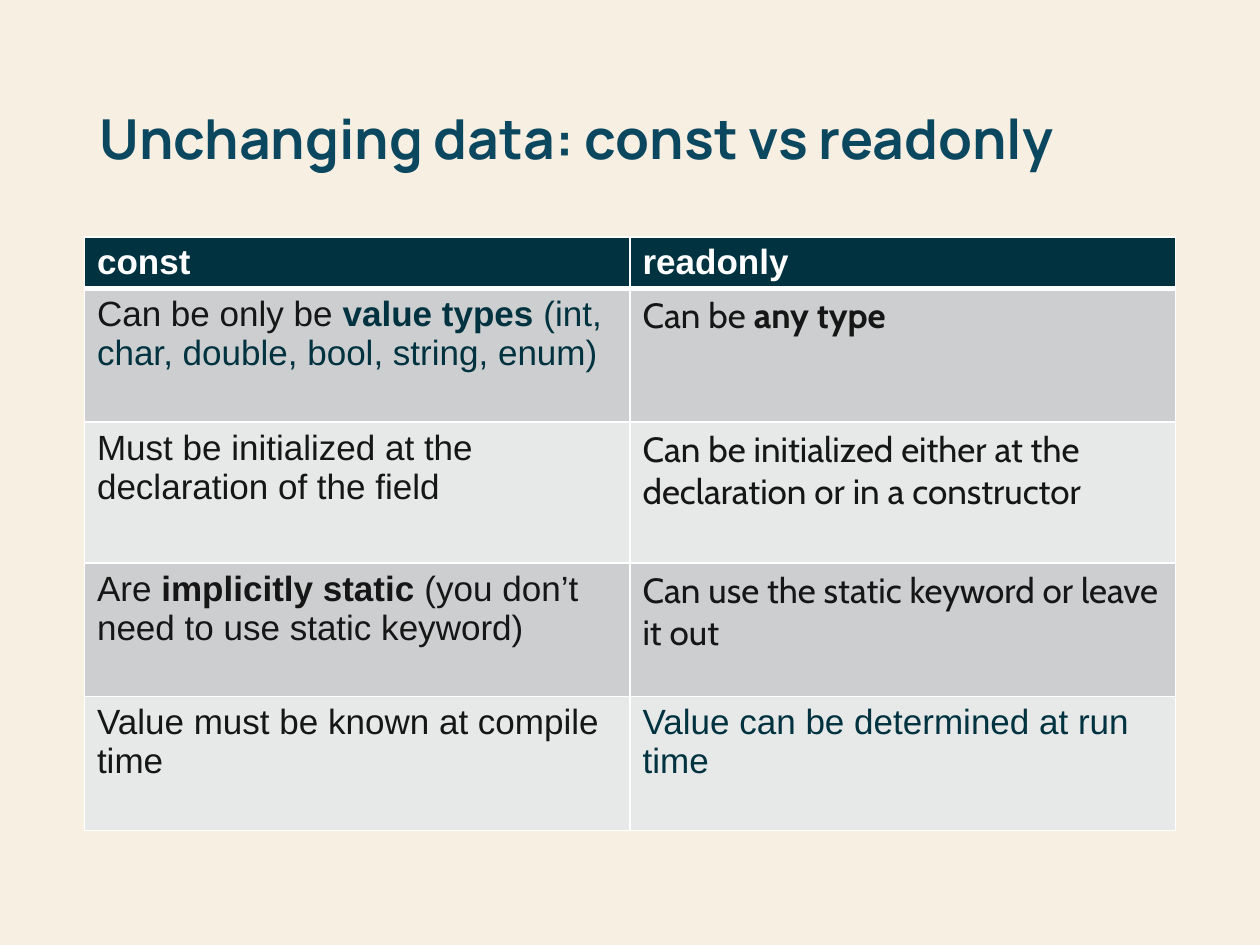
from dataclasses import dataclass

from lxml.etree import SubElement
from pptx import Presentation
from pptx.dml.color import RGBColor
from pptx.enum.text import MSO_ANCHOR as Anchor, MSO_AUTO_SIZE as AutoSize, PP_ALIGN as Align
from pptx.oxml.ns import qn
from pptx.util import Inches, Pt

CREAM, TEAL, NAVY = "F8EFE3", "0B485F", "003240"
INK, WHITE, GREY, PALE = "161616", "FFFFFF", "CCCECF", "E7E8E8"


@dataclass
class Span:
    text: str
    color: str = INK
    bold: bool = False


@dataclass
class Entry:
    spans: list[Span]
    font: str = "Arial"


@dataclass
class Row:
    height: float
    fill: str
    entries: list[Entry]


ROWS = [
    Row(0.41, NAVY, [
        Entry([Span("const", WHITE, True)]),
        Entry([Span("readonly", WHITE, True)]),
    ]),
    Row(1.06, GREY, [
        Entry([Span("Can be only be "), Span("value types", NAVY, True),
               Span(" (int, char, double, bool, string, enum)", NAVY)]),
        Entry([Span("Can be "), Span("any type", bold=True)], "Cabin"),
    ]),
    Row(1.12, PALE, [
        Entry([Span("Must be initialized at the declaration of the field")]),
        Entry([Span("Can be initialized either at the declaration or in a constructor")], "Cabin"),
    ]),
    Row(1.06, GREY, [
        Entry([Span("Are "), Span("implicitly static", bold=True),
               Span(" (you don’t need to use static keyword)")]),
        Entry([Span("Can use the static keyword or leave it out")], "Cabin"),
    ]),
    Row(1.06, PALE, [
        Entry([Span("Value must be known at compile time")]),
        Entry([Span("Value can be determined at run time", NAVY)]),
    ]),
]


def rgb(color: str) -> RGBColor:
    return RGBColor.from_string(color)


def style_run(r, font: str, size: float, color: str, bold: bool) -> None:
    r.font.name = font
    r.font.size = Pt(size)
    r.font.bold = bold
    r.font.color.rgb = rgb(color)


def add_borders(cell, top: float, bottom: float) -> None:
    tc_pr = cell._tc.get_or_add_tcPr()
    widths = {"a:lnL": 1, "a:lnR": 1, "a:lnT": top, "a:lnB": bottom}
    for tag, width in widths.items():
        ln = SubElement(tc_pr, qn(tag), w=str(Pt(width)))
        fill = SubElement(ln, qn("a:solidFill"))
        SubElement(fill, qn("a:srgbClr"), val=WHITE)


def fill_cell(cell, entry: Entry, fill: str, top: float, bottom: float) -> None:
    add_borders(cell, top, bottom)
    cell.fill.solid()
    cell.fill.fore_color.rgb = rgb(fill)
    p = cell.text_frame.paragraphs[0]
    for span in entry.spans:
        r = p.add_run()
        r.text = span.text
        style_run(r, entry.font, 20, span.color, span.bold)


def add_title(s, text: str) -> None:
    sp = s.shapes.title
    sp.left, sp.top, sp.width, sp.height = map(Inches, (0.69, 0.4, 8.62, 1.45))
    tf = sp.text_frame
    tf.text = text
    tf.auto_size = AutoSize.NONE
    tf.vertical_anchor = Anchor.MIDDLE
    p = tf.paragraphs[0]
    p.alignment = Align.LEFT
    p.line_spacing = 0.9
    style_run(p.runs[0], "Manrope", 31.5, TEAL, True)


def add_comparison(s, rows: list[Row]) -> None:
    height = sum(row.height for row in rows)
    table = s.shapes.add_table(len(rows), 2, Inches(0.67), Inches(1.88),
                               Inches(8.66), Inches(height)).table
    for i, row in enumerate(rows):
        table.rows[i].height = Inches(row.height)
        top, bottom = 3 if i == 1 else 1, 3 if i == 0 else 1
        for j, entry in enumerate(row.entries):
            fill_cell(table.cell(i, j), entry, row.fill, top, bottom)


def main() -> None:
    prs = Presentation()
    prs.slide_width, prs.slide_height = Inches(10), Inches(7.5)
    s = prs.slides.add_slide(prs.slide_layouts[5])
    s.background.fill.solid()
    s.background.fill.fore_color.rgb = rgb(CREAM)
    add_title(s, "Unchanging data: const vs readonly")
    add_comparison(s, ROWS)
    prs.save("out.pptx")


if __name__ == "__main__":
    main()
